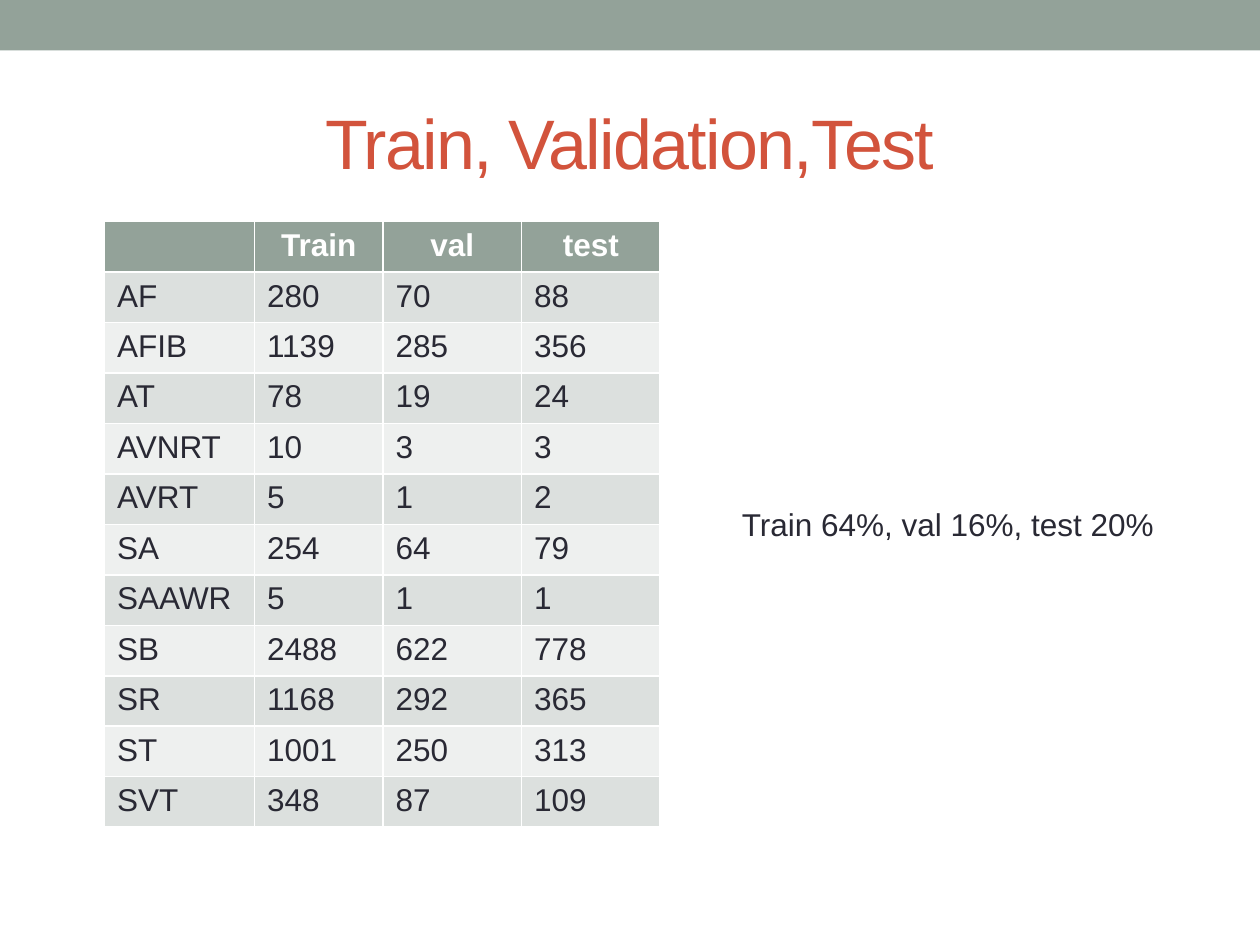
from pptx import Presentation
from pptx.dml.color import RGBColor
from pptx.enum.shapes import MSO_SHAPE
from pptx.enum.text import MSO_ANCHOR, PP_ALIGN
from pptx.util import Inches, Pt

RECTANGLE = MSO_SHAPE.RECTANGLE
TOP, MIDDLE = MSO_ANCHOR.TOP, MSO_ANCHOR.MIDDLE
LEFT, CENTER = PP_ALIGN.LEFT, PP_ALIGN.CENTER

FONT = "Arial"
COLORS = {
    "sage": "93A299",
    "title": "D2533C",
    "text": "292934",
    "white": "FFFFFF",
    "band_dark": "DCE0DE",
    "band_light": "EEF0EF",
}

HEADER = ("", "Train", "val", "test")
CLASS_COUNTS = [
    ("AF", 280, 70, 88),
    ("AFIB", 1139, 285, 356),
    ("AT", 78, 19, 24),
    ("AVNRT", 10, 3, 3),
    ("AVRT", 5, 1, 2),
    ("SA", 254, 64, 79),
    ("SAAWR", 5, 1, 1),
    ("SB", 2488, 622, 778),
    ("SR", 1168, 292, 365),
    ("ST", 1001, 250, 313),
    ("SVT", 348, 87, 109),
]
COLUMN_WIDTHS = (1.19, 1.02, 1.1, 1.1)
ROW_HEIGHT = 0.4


def rgb(name):
    return RGBColor.from_string(COLORS[name])


def set_fill(part, color):
    part.fill.solid()
    part.fill.fore_color.rgb = rgb(color)


def write(frame, text, color, size=18, bold=False, align=LEFT):
    paragraph = frame.paragraphs[0]
    paragraph.text = text
    paragraph.alignment = align
    font = paragraph.font
    font.name, font.size, font.bold = FONT, Pt(size), bold
    font.color.rgb = rgb(color)
    return paragraph


def add_band(slide, left, top, width, height, color):
    band = slide.shapes.add_shape(
        RECTANGLE, Inches(left), Inches(top), Inches(width), Inches(height))
    band.shadow.inherit = False
    set_fill(band, color)
    band.line.fill.background()


def add_text(slide, left, top, width, height, text, color, anchor=TOP, **style):
    box = slide.shapes.add_textbox(
        Inches(left), Inches(top), Inches(width), Inches(height))
    frame = box.text_frame
    frame.word_wrap = True
    frame.vertical_anchor = anchor
    return write(frame, text, color, **style)


def add_counts_table(slide, left, top):
    rows = [HEADER, *CLASS_COUNTS]
    table = slide.shapes.add_table(
        len(rows), len(HEADER), Inches(left), Inches(top),
        Inches(sum(COLUMN_WIDTHS)), Inches(ROW_HEIGHT * len(rows))).table
    for column, width in zip(table.columns, COLUMN_WIDTHS):
        column.width = Inches(width)
    for r, values in enumerate(rows):
        table.rows[r].height = Inches(ROW_HEIGHT)
        if r == 0:
            fill, style = "sage", dict(color="white", bold=True, align=CENTER)
        else:
            fill = "band_dark" if r % 2 else "band_light"
            style = dict(color="text")
        for c, value in enumerate(values):
            cell = table.cell(r, c)
            set_fill(cell, fill)
            write(cell.text_frame, str(value), **style)


def main():
    prs = Presentation()
    prs.slide_width, prs.slide_height = Inches(10), Inches(7.5)
    slide = prs.slides.add_slide(prs.slide_layouts[6])

    # Top band and title with tightened letter spacing
    add_band(slide, 0, 0, 10, 0.4, "sage")
    title = add_text(slide, 0.5, 0.58, 9, 1.08, "Train, Validation,Test", "title",
                     anchor=MIDDLE, size=40, align=CENTER)
    title.runs[0].font._element.set("spc", "-100")

    # Split ratio and counts per class
    add_text(slide, 5.79, 3.96, 3.54, 0.4, "Train 64%, val 16%, test 20%", "text")
    add_counts_table(slide, 0.83, 1.76)

    prs.save("out.pptx")


main()
